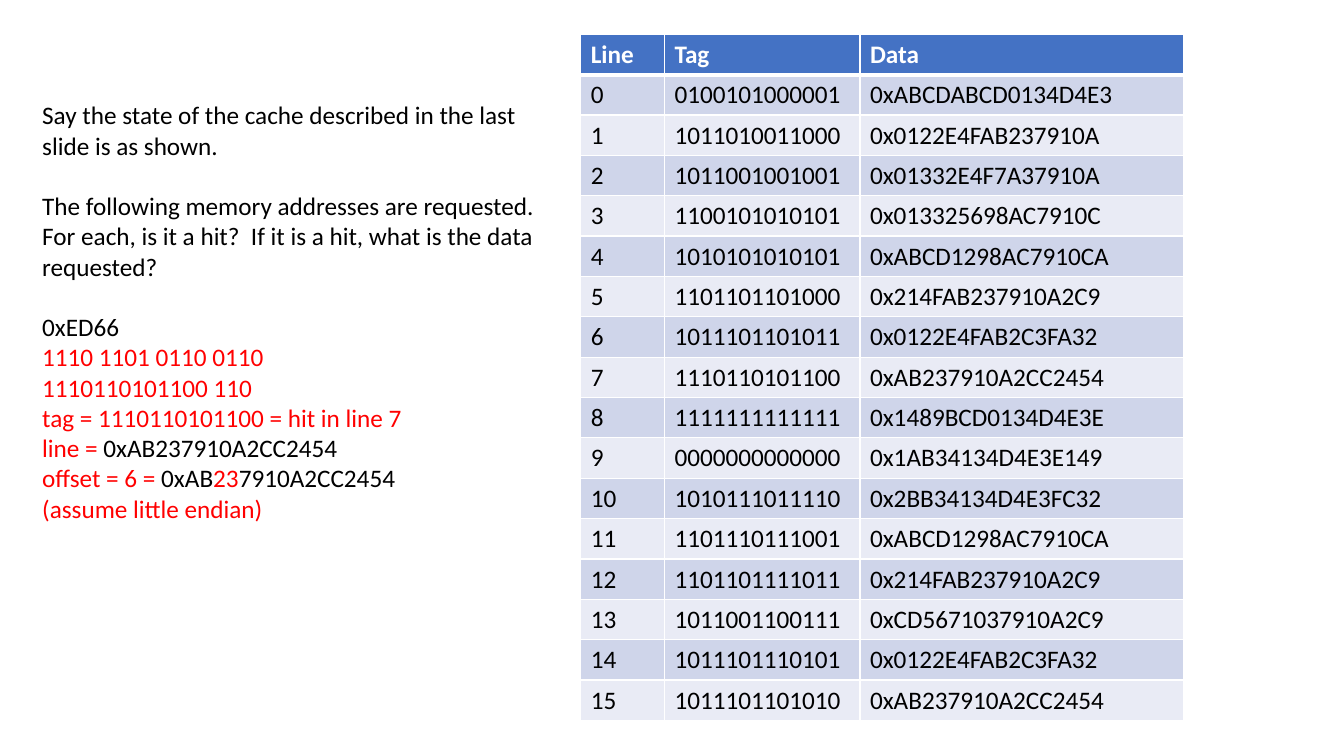
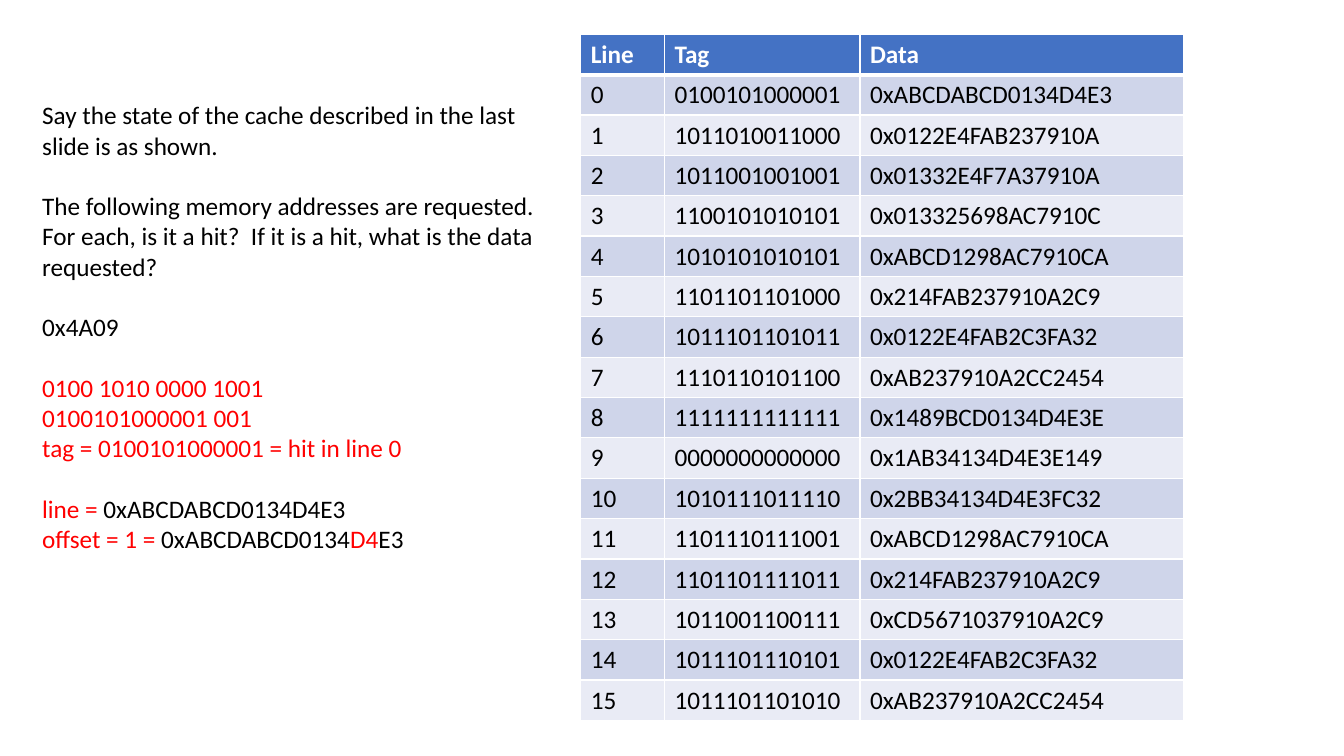
from pptx import Presentation
from pptx.dml.color import RGBColor
from pptx.enum.text import MSO_AUTO_SIZE as AutoSize
from pptx.oxml import parse_xml
from pptx.oxml.ns import nsdecls
from pptx.util import Inches, Pt

# Shared style
FONT, SIZE = "Calibri", Pt(18)
BLACK, WHITE, RED = "000000", "FFFFFF", "FF0000"
HEADER_FILL, BAND_FILLS = "4472C4", ("E9EBF5", "CFD5EA")
GROUP_GAP = Pt(21.6)

# Regions: left, top, width, height in inches
QUESTION_BOX = (0.32, 0.94, 5.21, 4.95)
CACHE_BOX = (5.76, 0.34, 5.98, 6.8)
COLUMN_WIDTHS = (0.83, 1.94, 3.21)

HEADINGS = ("Line", "Tag", "Data")
CACHE_LINES = [
    ("0100101000001", "0xABCDABCD0134D4E3"),
    ("1011010011000", "0x0122E4FAB237910A"),
    ("1011001001001", "0x01332E4F7A37910A"),
    ("1100101010101", "0x013325698AC7910C"),
    ("1010101010101", "0xABCD1298AC7910CA"),
    ("1101101101000", "0x214FAB237910A2C9"),
    ("1011101101011", "0x0122E4FAB2C3FA32"),
    ("1110110101100", "0xAB237910A2CC2454"),
    ("1111111111111", "0x1489BCD0134D4E3E"),
    ("0000000000000", "0x1AB34134D4E3E149"),
    ("1010111011110", "0x2BB34134D4E3FC32"),
    ("1101110111001", "0xABCD1298AC7910CA"),
    ("1101101111011", "0x214FAB237910A2C9"),
    ("1011001100111", "0xCD5671037910A2C9"),
    ("1011101110101", "0x0122E4FAB2C3FA32"),
    ("1011101101010", "0xAB237910A2CC2454"),
]

# Text is grouped; a line is a list of (text, colour) runs
INTRO = [
    [[("Say the state of the cache described in the last slide is as shown.", BLACK)]],
    [[("The following memory addresses are requested.  For each, is it a hit?  "
       "If it is a hit, what is the data requested?", BLACK)]],
]
ANSWERS = [
    [
        [
            [("0xED66", BLACK)],
            [("1110 1101 0110 0110", RED)],
            [("1110110101100 110", RED)],
            [("tag = 1110110101100 = hit in line 7", RED)],
            [("line = ", RED), ("0xAB237910A2CC2454", BLACK)],
            [("offset = 6 = ", RED), ("0xAB", BLACK), ("23", RED), ("7910A2CC2454", BLACK)],
            [("(assume little endian)", RED)],
        ],
    ],
    [
        [[("0x4A09", BLACK)]],
        [
            [("0100 1010 0000 1001", RED)],
            [("0100101000001 001", RED)],
            [("tag = 0100101000001 = hit in line 0", RED)],
        ],
        [
            [("line = ", RED), ("0xABCDABCD0134D4E3", BLACK)],
            [("offset = 1 = ", RED), ("0xABCDABCD0134", BLACK), ("D4", RED), ("E3", BLACK)],
        ],
    ],
]


def rgb(colour):
    return RGBColor.from_string(colour)


def style_run(run, colour, bold=False):
    run.font.name, run.font.size, run.font.bold = FONT, SIZE, bold
    run.font.color.rgb = rgb(colour)


def border_cell(cell, bottom_width):
    """Draw white borders; they must precede the fill in the cell properties."""
    properties = cell._tc.get_or_add_tcPr()
    widths = {"lnL": 1, "lnR": 1, "lnT": 1, "lnB": bottom_width}
    for position, (side, width) in enumerate(widths.items()):
        properties.insert(position, parse_xml(
            f'<a:{side} {nsdecls("a")} w="{Pt(width)}"><a:solidFill>'
            f'<a:srgbClr val="{WHITE}"/></a:solidFill></a:{side}>'))


def add_question(slide, box, groups):
    frame = slide.shapes.add_textbox(*map(Inches, box)).text_frame
    frame.word_wrap = True
    frame.auto_size = AutoSize.SHAPE_TO_FIT_TEXT
    paragraph = frame.paragraphs[0]
    for group_number, group in enumerate(groups):
        for line_number, line in enumerate(group):
            if group_number or line_number:
                paragraph = frame.add_paragraph()
            if group_number and not line_number:
                paragraph.space_before = GROUP_GAP
            for text, colour in line:
                run = paragraph.add_run()
                run.text = text
                style_run(run, colour)


def add_cache_table(slide, box, column_widths):
    rows = [HEADINGS] + [(str(n), *line) for n, line in enumerate(CACHE_LINES)]
    cache = slide.shapes.add_table(len(rows), len(HEADINGS), *map(Inches, box)).table
    for column, width in zip(cache.columns, column_widths):
        column.width = Inches(width)
    for row_number, values in enumerate(rows):
        is_header = row_number == 0
        cache.rows[row_number].height = Inches(box[3] / len(rows))
        for column_number, value in enumerate(values):
            cell = cache.cell(row_number, column_number)
            cell.text_frame.text = value
            style_run(cell.text_frame.paragraphs[0].runs[0],
                      WHITE if is_header else BLACK, is_header)
            cell.fill.solid()
            cell.fill.fore_color.rgb = rgb(
                HEADER_FILL if is_header else BAND_FILLS[row_number % 2])
            # The header rule is shared with the row below it
            border_cell(cell, 3 if is_header else 1)
            if row_number == 1:
                cell._tc.tcPr[2].set("w", str(Pt(3)))


def add_cache_slide(deck, answer):
    slide = deck.slides.add_slide(deck.slide_layouts[6])
    add_question(slide, QUESTION_BOX, INTRO + answer)
    add_cache_table(slide, CACHE_BOX, COLUMN_WIDTHS)


def main():
    deck = Presentation()
    deck.slide_width, deck.slide_height = Inches(13.33), Inches(7.5)
    for answer in ANSWERS:
        add_cache_slide(deck, answer)
    deck.save("out.pptx")


if __name__ == "__main__":
    main()
